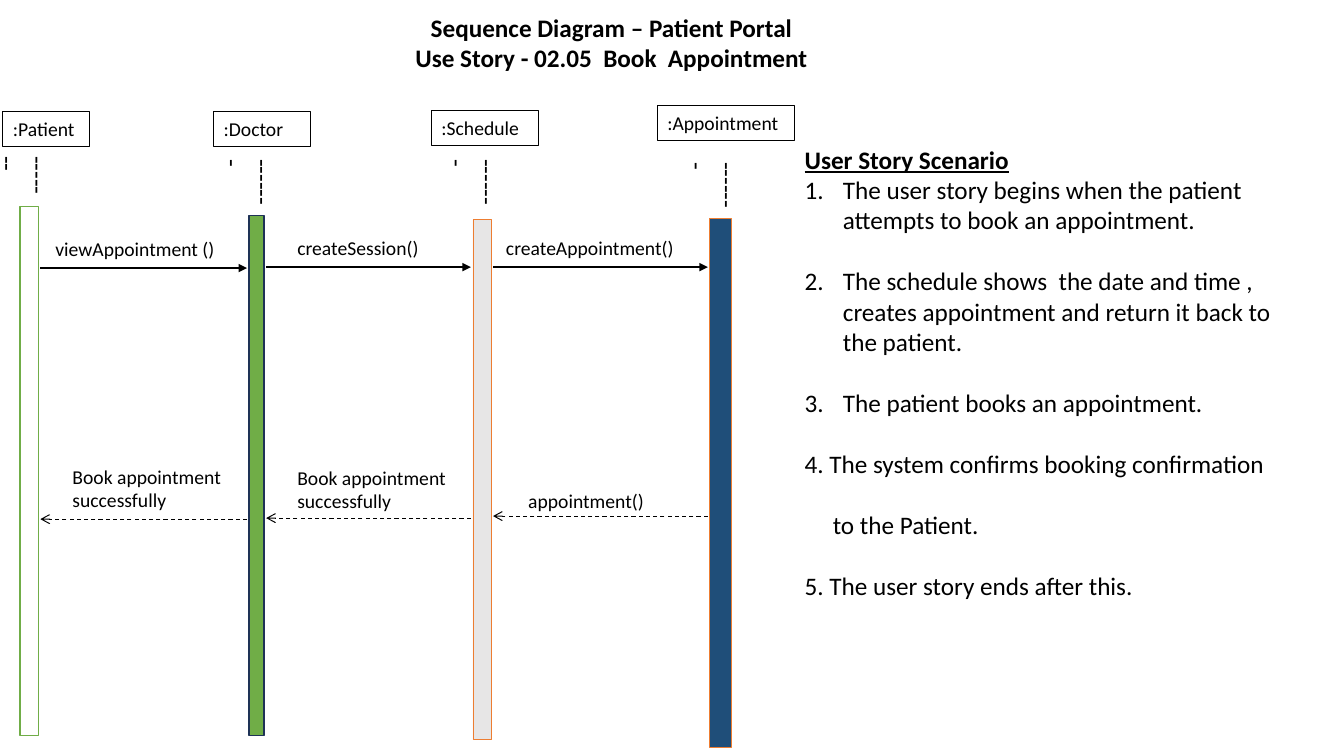
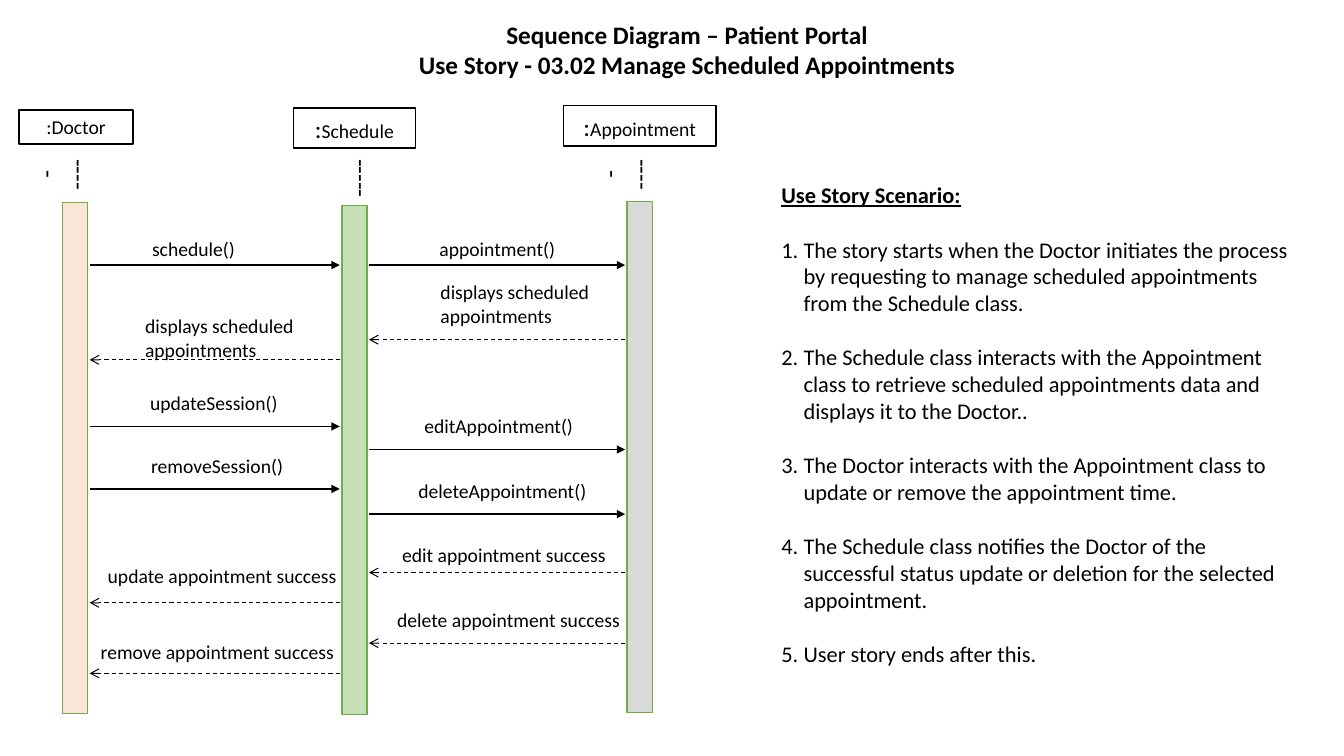
from dataclasses import dataclass

from lxml import etree
from pptx import Presentation
from pptx.dml.color import RGBColor
from pptx.enum.dml import MSO_LINE
from pptx.enum.shapes import MSO_CONNECTOR, MSO_SHAPE
from pptx.enum.text import MSO_ANCHOR, MSO_AUTO_SIZE, PP_ALIGN
from pptx.oxml.ns import qn
from pptx.util import Inches, Pt

RECTANGLE, STRAIGHT, DASH = MSO_SHAPE.RECTANGLE, MSO_CONNECTOR.STRAIGHT, MSO_LINE.DASH
LEFT, CENTER = PP_ALIGN.LEFT, PP_ALIGN.CENTER
TOP, MIDDLE = MSO_ANCHOR.TOP, MSO_ANCHOR.MIDDLE
FIXED = MSO_AUTO_SIZE.NONE


@dataclass(frozen=True)
class Theme:
    """Colours, font and type sizes shared by both slides."""
    font: str = "Calibri"
    ink: str = "000000"
    white: str = "FFFFFF"
    green: str = "70AD47"
    pale_green: str = "C5E0B4"
    navy: str = "1E3256"
    blue: str = "1F4E79"
    orange: str = "ED7D31"
    peach: str = "FBE5D6"
    light_gray: str = "E7E6E6"
    gray: str = "D9D9D9"
    title_size: int = 18
    label_size: int = 14
    line_height: float = 1.22


THEME = Theme()


@dataclass(frozen=True)
class Lane:
    """A participant; boxes are left, top, width, height in the diagram."""
    name: str
    head: tuple
    dashes: tuple
    bar: tuple
    fill: str
    line: str = THEME.green
    line_width: float = 1
    colon_size: int = THEME.label_size


@dataclass(frozen=True)
class Message:
    """An arrow between two lanes at height y, its label raised above it."""
    text: str
    source: int
    target: int
    y: float
    label_left: float
    label_width: float
    rise: float


@dataclass(frozen=True)
class Step:
    """A scenario paragraph with its hanging indent."""
    text: str
    margin: float
    hanging: float
    numbered: bool = True


def color(code):
    """Turn a hex code into a colour."""
    return RGBColor.from_string(code)


def place(shape, box):
    """Move and size a shape to a box in inches."""
    shape.left, shape.top, shape.width, shape.height = map(Inches, box)


def shifted(box, origin):
    """Move a box from diagram to slide coordinates."""
    return (box[0] + origin[0], box[1] + origin[1], *box[2:])


def add_span(para, text, size, bold=False, underline=False):
    """Add one formatted run."""
    span = para.add_run()
    span.text = text
    font = span.font
    font.name, font.size = THEME.font, Pt(size)
    font.bold, font.underline = bold, underline
    font.color.rgb = color(THEME.ink)


def add_text(page, box, text, size, align=LEFT, vertical=False):
    """Add a wrapping text box, optionally with vertical text."""
    shape = page.shapes.add_textbox(*map(Inches, box))
    frame = shape.text_frame
    frame.word_wrap = True
    if vertical:
        frame._txBody.bodyPr.set("vert", "eaVert")
    para = frame.paragraphs[0]
    para.alignment = align
    add_span(para, text, size)


def add_box(page, box, fill, line, width):
    """Add a flat rectangle; a fill of None leaves it open."""
    shape = page.shapes.add_shape(RECTANGLE, *map(Inches, box))
    shape.shadow.inherit = False
    if fill is None:
        shape.fill.background()
    else:
        shape.fill.solid()
        shape.fill.fore_color.rgb = color(fill)
    shape.line.color.rgb = color(line)
    shape.line.width = Pt(width)
    return shape


def add_arrow(page, start, end, y, is_reply):
    """Add a solid call arrow or a dashed reply arrow."""
    arrow = page.shapes.add_connector(
        STRAIGHT, Inches(start), Inches(y), Inches(end), Inches(y))
    arrow.line.color.rgb = color(THEME.ink)
    arrow.line.width = Pt(0.75 if is_reply else 1)
    if is_reply:
        arrow.line.dash_style = DASH
    outline = arrow.line._get_or_add_ln()
    head = etree.SubElement(outline, qn("a:tailEnd"))
    head.set("type", "arrow" if is_reply else "triangle")
    etree.SubElement(arrow._element.spPr, qn("a:effectLst"))


def add_lane(page, lane, origin, dashes, align, border):
    """Draw a participant's name box, lifeline dashes and activation bar."""
    head = add_box(page, shifted(lane.head, origin), None, THEME.ink, border)
    frame = head.text_frame
    frame.word_wrap, frame.vertical_anchor = True, MIDDLE
    para = frame.paragraphs[0]
    para.alignment = align
    add_span(para, ":", lane.colon_size)
    add_span(para, lane.name, THEME.label_size)
    add_text(page, shifted(lane.dashes, origin), dashes, THEME.title_size,
             align, vertical=True)
    add_box(page, shifted(lane.bar, origin), lane.fill, lane.line, lane.line_width)


def add_message(page, message, lanes, origin):
    """Draw an arrow between the facing edges of two bars, with its label."""
    gap = 0.02
    is_reply = message.target < message.source
    left_bar = lanes[min(message.source, message.target)].bar
    right_bar = lanes[max(message.source, message.target)].bar
    ends = [origin[0] + left_bar[0] + left_bar[2] + gap,
            origin[0] + right_bar[0] - gap]
    if is_reply:
        ends.reverse()
    add_arrow(page, *ends, origin[1] + message.y, is_reply)
    height = 0.57 if message.rise > 0.45 else 0.34
    label = (message.label_left, message.y - message.rise, message.label_width, height)
    add_text(page, shifted(label, origin), message.text, THEME.label_size)


def add_diagram(page, origin, lanes, messages, dashes, align, border):
    """Draw a sequence diagram from its top left corner."""
    for lane in lanes:
        add_lane(page, lane, origin, dashes, align, border)
    for message in messages:
        add_message(page, message, lanes, origin)


def prepare_frame(shape, box):
    """Place a placeholder and give it top-anchored, wrapping text."""
    place(shape, box)
    frame = shape.text_frame
    frame.word_wrap, frame.auto_size, frame.vertical_anchor = True, FIXED, TOP
    return frame


def add_title(page, box, lines):
    """Fill the title placeholder with centred bold lines."""
    frame = prepare_frame(page.shapes.title, box)
    for index, line in enumerate(lines):
        para = frame.add_paragraph() if index else frame.paragraphs[0]
        para.alignment, para.line_spacing = CENTER, 1.0
        add_span(para, line, THEME.title_size, bold=True)


def set_indent(para, margin, hanging, numbered):
    """Set a paragraph's margin, hanging indent and numbering."""
    props = para._p.get_or_add_pPr()
    props.set("marL", str(Inches(margin)))
    props.set("indent", str(-Inches(hanging)))
    if numbered:
        etree.SubElement(props, qn("a:buFont")).set("typeface", "+mj-lt")
        etree.SubElement(props, qn("a:buAutoNum")).set("type", "arabicPeriod")
    else:
        etree.SubElement(props, qn("a:buNone"))


def add_scenario(page, box, heading, steps, size, first_gap):
    """Fill the body placeholder with a heading and spaced steps."""
    frame = prepare_frame(page.placeholders[1], box)
    para = frame.paragraphs[0]
    para.alignment, para.line_spacing, para.space_before = LEFT, 1.0, Pt(0)
    set_indent(para, 0, 0, False)
    add_span(para, heading, size, bold=True, underline=True)
    for index, step in enumerate(steps):
        para = frame.add_paragraph()
        para.alignment, para.line_spacing = LEFT, 1.0
        para.space_before = Pt(size * THEME.line_height if index or first_gap else 0)
        set_indent(para, step.margin, step.hanging, step.numbered)
        add_span(para, step.text, size)


def build_booking(deck):
    """Build the slide on booking an appointment."""
    page = deck.slides.add_slide(deck.slide_layouts[1])
    add_title(page, (3.88, 0.07, 4.37, 0.71),
              ["Sequence Diagram – Patient Portal", "Use Story - 02.05  Book  Appointment"])
    lanes = [
        Lane("Patient", (0.03, 0.11, 0.86, 0.34), (0.09, 0.45, 0.5, 0.64),
             (0.2, 1.05, 0.18, 5.25), THEME.white),
        Lane("Doctor", (2.12, 0.11, 0.96, 0.34), (2.32, 0.48, 0.5, 0.69),
             (2.47, 1.14, 0.15, 5.16), THEME.green, THEME.navy),
        Lane("Schedule", (4.28, 0.1, 1.06, 0.34), (4.55, 0.48, 0.5, 0.69),
             (4.69, 1.18, 0.18, 5.16), THEME.light_gray, THEME.orange, 0.5),
        Lane("Appointment", (6.52, 0.05, 1.36, 0.34), (6.93, 0.51, 0.5, 0.69),
             (7.04, 1.17, 0.21, 5.24), THEME.blue, THEME.orange, 0.5),
    ]
    messages = [
        Message("viewAppointment ()", 0, 1, 1.66, 0.45, 1.98, 0.36),
        Message("createSession()", 1, 2, 1.65, 2.85, 1.69, 0.36),
        Message("createAppointment()", 2, 3, 1.65, 4.92, 2.09, 0.36),
        Message("appointment()", 3, 2, 4.12, 5.14, 1.81, 0.32),
        Message("Book appointment successfully", 2, 1, 4.14, 2.85, 1.81, 0.57),
        Message("Book appointment successfully", 1, 0, 4.15, 0.62, 1.81, 0.59),
    ]
    add_diagram(page, (0, 1), lanes, messages, "-" * 7, LEFT, 0.75)
    steps = [
        Step("The user story begins when the patient attempts to book an appointment.",
             0.38, 0.38),
        Step("The schedule shows  the date and time , creates appointment and "
             "return it back to the patient.", 0.38, 0.38),
        Step("The patient books an appointment.", 0.38, 0.38),
        Step("4. The system confirms booking confirmation", 0.25, 0.25, False),
        Step("to the Patient.", 0.28, 0, False),
        Step("5. The user story ends after this.", 0.25, 0.25, False),
    ]
    add_scenario(page, (7.88, 1.38, 4.83, 4.64), "User Story Scenario", steps, 18, False)


def build_managing(deck):
    """Build the slide on managing scheduled appointments."""
    page = deck.slides.add_slide(deck.slide_layouts[1])
    add_title(page, (3.8, 0.14, 6.03, 0.71),
              ["Sequence Diagram – Patient Portal",
               "Use Story - 03.02 Manage Scheduled Appointments"])
    lanes = [
        Lane("Doctor", (0.19, 0.09, 1.13, 0.34), (0.5, 0.48, 0.5, 0.51),
             (0.62, 1.01, 0.25, 5.07), THEME.peach),
        Lane("Schedule", (2.91, 0.07, 1.21, 0.4), (3.3, 0.48, 0.5, 0.59),
             (3.39, 1.04, 0.25, 5.05), THEME.pale_green, colon_size=18),
        Lane("Appointment", (5.59, 0.05, 1.51, 0.4), (6.09, 0.48, 0.5, 0.51),
             (6.22, 1, 0.25, 5.07), THEME.gray, colon_size=18),
    ]
    messages = [
        Message("schedule()", 0, 1, 1.63, 1.41, 1.5, 0.33),
        Message("appointment()", 1, 2, 1.63, 4.26, 2.04, 0.33),
        Message("displays scheduled appointments", 2, 1, 2.37, 4.27, 2.29, 0.64),
        Message("displays scheduled appointments", 1, 0, 2.57, 1.34, 2.29, 0.5),
        Message("updateSession()", 0, 1, 3.23, 1.39, 1.5, 0.4),
        Message("editAppointment()", 1, 2, 3.46, 4.11, 1.84, 0.4),
        Message("removeSession()", 0, 1, 3.85, 1.4, 1.58, 0.4),
        Message("deleteAppointment()", 1, 2, 4.1, 4.05, 1.92, 0.4),
        Message("edit appointment success", 2, 1, 4.68, 3.89, 2.3, 0.34),
        Message("update appointment success", 1, 0, 4.98, 0.97, 2.54, 0.43),
        Message("delete appointment success", 2, 1, 5.38, 3.84, 2.47, 0.4),
        Message("remove appointment success", 1, 0, 5.68, 0.9, 2.58, 0.38),
    ]
    add_diagram(page, (0, 1), lanes, messages, "-" * 5, CENTER, 1)
    texts = [
        "The story starts when the Doctor initiates the process by requesting to "
        "manage scheduled appointments from the Schedule class.",
        "The Schedule class interacts with the Appointment class to retrieve "
        "scheduled appointments data and displays it to the Doctor..",
        "The Doctor interacts with the Appointment class to update or remove the "
        "appointment time.",
        "The Schedule class notifies the Doctor of the successful status update or "
        "deletion for the selected appointment.",
        "User story ends after this.",
    ]
    steps = [Step(text, 0.22, 0.22) for text in texts]
    add_scenario(page, (7.65, 1.75, 5.3, 5.55), "Use Story Scenario:", steps, 16, True)


deck = Presentation()
deck.slide_width, deck.slide_height = Inches(13.33), Inches(7.5)
build_booking(deck)
build_managing(deck)
deck.save("out.pptx")
